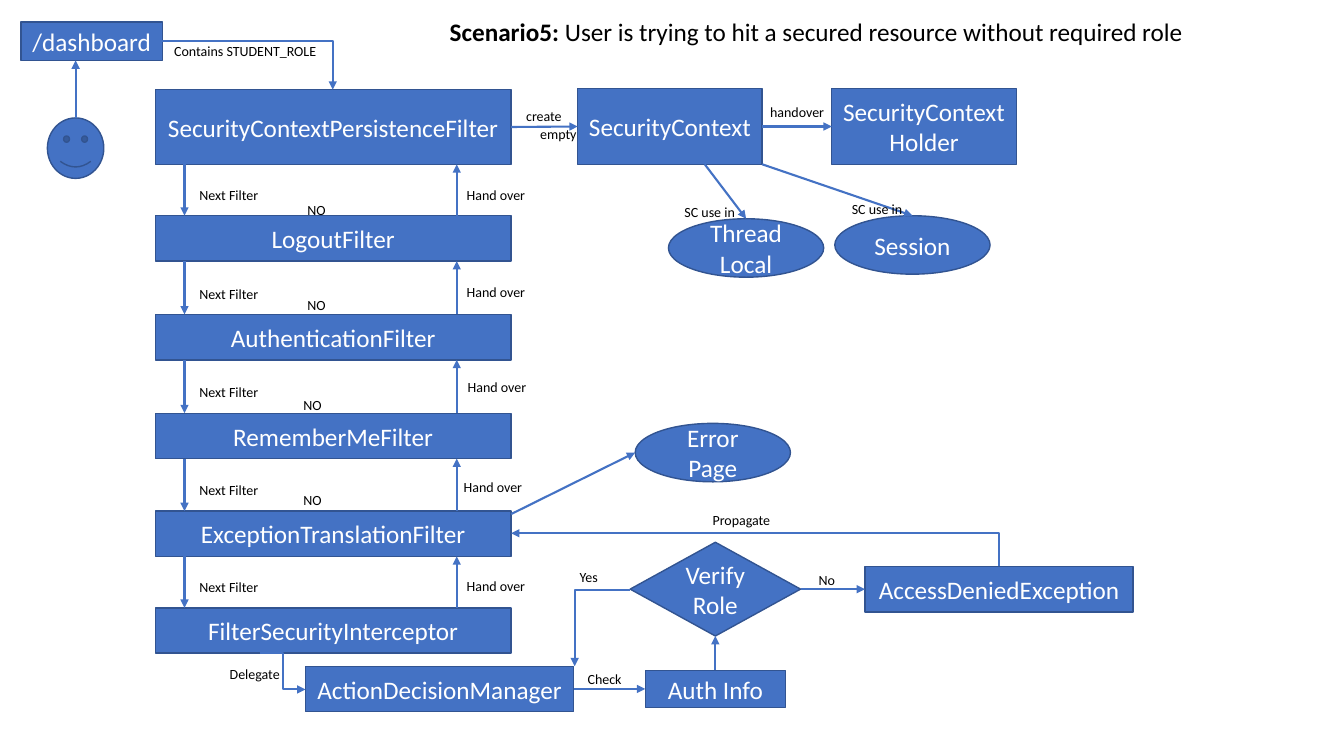
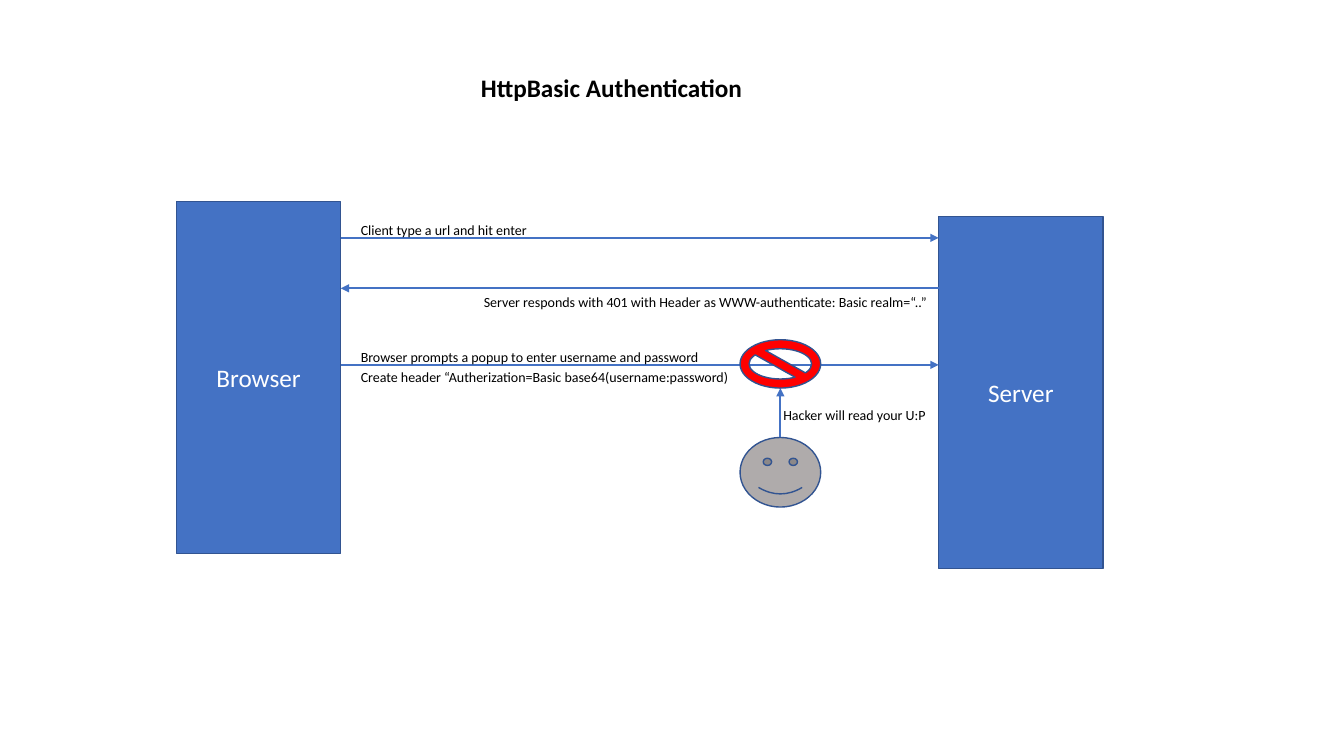
from pptx import Presentation
from pptx.dml.color import RGBColor
from pptx.enum import shapes, text
from pptx.oxml.ns import qn
from pptx.util import Inches, Pt
from lxml import etree

BLUE = RGBColor(0x44, 0x72, 0xC4)
EDGE = RGBColor(0x32, 0x54, 0x91)
RED = RGBColor(0xFF, 0x00, 0x00)
GREY = RGBColor(0xAF, 0xAB, 0xAB)
BLACK = RGBColor(0x00, 0x00, 0x00)
WHITE = RGBColor(0xFF, 0xFF, 0xFF)
FONT = "Calibri"
TITLE_ONLY = 5

MSO = shapes.MSO_SHAPE
STRAIGHT = shapes.MSO_CONNECTOR.STRAIGHT
ELBOW = shapes.MSO_CONNECTOR.ELBOW
TOP, LEFT, BOTTOM, RIGHT = range(4)


class Deck:
    """Shared style and the slide being drawn."""

    def __init__(self):
        self.prs = Presentation()
        self.prs.slide_width = Inches(13.33)
        self.prs.slide_height = Inches(7.5)
        self.s = None

    def font(self, p, size, color):
        for r in p.runs:
            r.font.name, r.font.size = FONT, Pt(size)
            r.font.color.rgb = color

    def slide(self, x, y, w, bold, plain=""):
        """New slide with a title that starts in bold."""
        self.s = self.prs.slides.add_slide(self.prs.slide_layouts[TITLE_ONLY])
        sp = self.s.shapes.title
        sp.left, sp.top, sp.width, sp.height = map(Inches, (x, y, w, 0.4))
        tf = sp.text_frame
        tf.word_wrap = False
        tf.auto_size = text.MSO_AUTO_SIZE.SHAPE_TO_FIT_TEXT
        tf.vertical_anchor = text.MSO_ANCHOR.TOP
        p = tf.paragraphs[0]
        p.text = bold
        p.alignment = text.PP_ALIGN.LEFT
        p.runs[0].font.bold = True
        if plain:
            r = p.add_run()
            r.text = plain
            r.font.bold = False
        self.font(p, 18, BLACK)

    def shape(self, x, y, w, h, label="", kind=MSO.RECTANGLE, fill=BLUE):
        sp = self.s.shapes.add_shape(kind, *map(Inches, (x, y, w, h)))
        sp.shadow.inherit = False
        sp.fill.solid()
        sp.fill.fore_color.rgb = fill
        sp.line.color.rgb = EDGE
        sp.line.width = Pt(1)
        if label:
            sp.text_frame.text = label
            p = sp.text_frame.paragraphs[0]
            p.alignment = text.PP_ALIGN.CENTER
            self.font(p, 18, WHITE)
        return sp

    def ellipse(self, x, y, label):
        return self.shape(x, y, 1.54, 0.58, label, MSO.OVAL)

    def label(self, x, y, w, words, wrap=False):
        sp = self.s.shapes.add_textbox(*map(Inches, (x, y, w, 0.27)))
        tf = sp.text_frame
        tf.word_wrap = wrap
        tf.auto_size = text.MSO_AUTO_SIZE.SHAPE_TO_FIT_TEXT
        tf.text = words
        self.font(tf.paragraphs[0], 10, BLACK)

    def arrow(self, start, end, kind=STRAIGHT, preset=None, head="tailEnd"):
        """Each end is a point (x, y) or a joined side (shape, side)."""
        joins = [e if hasattr(e[0], "shape_id") else None for e in (start, end)]
        points = [(0, 0) if j else e for j, e in zip(joins, (start, end))]
        c = self.s.shapes.add_connector(
            kind, *(Inches(v) for point in points for v in point))
        if joins[0]:
            c.begin_connect(*joins[0])
        if joins[1]:
            c.end_connect(*joins[1])
        c.line.color.rgb = BLUE
        c.line.width = Pt(1.5)
        sppr = c._element.spPr
        if preset:
            sppr.find(qn("a:prstGeom")).set("prst", preset)
        etree.SubElement(sppr.find(qn("a:ln")), qn("a:" + head), type="triangle")
        etree.SubElement(sppr, qn("a:effectLst"))

    def corner(self, start, end, head="tailEnd"):
        """One bend: horizontal first, then vertical."""
        self.arrow(start, end, ELBOW, "bentConnector2", head)


def filter_chain(d):
    # name, top, "Hand over" position, "NO" position
    rows = [
        ("LogoutFilter", 2.14, (4.53, 1.8), (2.95, 1.95)),
        ("AuthenticationFilter", 3.12, (4.53, 2.76), (2.95, 2.89)),
        ("RememberMeFilter", 4.1, (4.54, 3.71), (2.91, 3.88)),
        ("ExceptionTranslationFilter", 5.07, (4.5, 4.7), (2.91, 4.83)),
        ("FilterSecurityInterceptor", 6.03, (4.53, 5.68), None),
    ]
    first = d.shape(1.54, 0.89, 3.53, 0.74, "SecurityContextPersistenceFilter")
    above = 1.63
    for name, top, hand, no in rows:
        d.shape(1.54, top, 3.53, 0.45, name)
        d.arrow((1.83, above), (1.83, top))
        d.arrow((4.53, top), (4.53, above))
        d.label(1.88, top - 0.34, 0.8, "Next Filter")
        d.label(*hand, 0.79, "Hand over")
        if no:
            d.label(*no, 0.39, "NO")
        above = top + 0.45
    return first


def scenario_slide(d):
    d.slide(4.36, 0.11, 7.56, "Scenario5:",
            " User is trying to hit a secured resource without required role")
    persistence = filter_chain(d)

    # Security context and where it is kept
    context = d.shape(5.73, 0.88, 1.83, 0.75, "SecurityContext")
    holder = d.shape(8.25, 0.88, 1.83, 0.75, "SecurityContextHolder")
    thread = d.ellipse(6.63, 2.17, "Thread Local")
    session = d.ellipse(8.28, 2.14, "Session")
    d.arrow((persistence, RIGHT), (context, LEFT))
    d.arrow((context, RIGHT), (holder, LEFT))
    d.arrow((6.99, 1.63), (thread, TOP))
    d.arrow((7.56, 1.63), (session, TOP))
    d.label(5.12, 1.02, 0.56, "create")
    d.label(5.26, 1.2, 0.57, "empty")
    d.label(7.54, 0.98, 0.75, "handover")
    d.label(6.69, 1.97, 0.71, "SC use in")
    d.label(8.35, 1.94, 0.71, "SC use in")

    # User request
    d.shape(0.21, 0.22, 1.4, 0.38, "/dashboard")
    user = d.shape(0.47, 1.17, 0.56, 0.6, kind=MSO.SMILEY_FACE)
    d.arrow((user, TOP), (0.75, 0.6))
    d.corner((1.61, 0.41), (3.3, 0.89))
    d.label(1.63, 0.37, 1.63, "Contains STUDENT_ROLE")

    # Role check
    manager = d.shape(3.03, 6.61, 2.66, 0.45, "ActionDecisionManager")
    info = d.shape(6.4, 6.65, 1.39, 0.37, "Auth Info")
    verify = d.shape(6.25, 5.38, 1.69, 0.93, "Verify Role", MSO.DIAMOND)
    denied = d.shape(8.58, 5.62, 2.66, 0.45, "AccessDeniedException")
    d.arrow((2.58, 6.48), (3.03, 6.84), ELBOW)
    d.arrow((manager, RIGHT), (info, LEFT))
    d.arrow((info, TOP), (verify, BOTTOM))
    d.arrow((verify, RIGHT), (denied, LEFT))
    d.corner((6.25, 5.85), (5.7, 6.61))
    d.corner((5.07, 5.29), (9.91, 5.62), head="headEnd")
    d.label(2.18, 6.55, 0.71, "Delegate")
    d.label(5.73, 6.6, 0.54, "Check")
    d.label(5.65, 5.59, 0.39, "Yes", wrap=True)
    d.label(8.02, 5.62, 0.39, "No", wrap=True)
    d.label(6.97, 5.03, 0.8, "Propagate", wrap=True)

    # Error result
    d.ellipse(6.3, 4.2, "Error Page")
    d.arrow((5.07, 5.1), (6.3, 4.49))


def basic_auth_slide(d):
    d.slide(4.67, 0.67, 2.82, "HttpBasic Authentication")

    # Two parties and the messages between them
    d.shape(1.75, 2, 1.63, 3.49, "Browser")
    d.shape(9.31, 2.15, 1.63, 3.49, "Server")
    for y, head in ((2.36, "tailEnd"), (2.86, "headEnd"), (3.62, "tailEnd")):
        d.arrow((3.38, y), (9.31, y), head=head)
    for x, y, w, words in (
        (3.48, 2.15, 1.88, "Client type a url and hit enter"),
        (4.7, 2.86, 4.65, "Server responds with 401 with Header as "
                          "WWW-authenticate: Basic realm=“..”"),
        (3.48, 3.41, 3.66, "Browser prompts a popup to enter username and password"),
        (3.48, 3.61, 3.96, "Create header “Autherization=Basic "
                           "base64(username:password)"),
        (7.67, 3.98, 1.88, "Hacker will read your U:P"),
    ):
        d.label(x, y, w, words, wrap=True)

    # Hacker
    d.shape(7.34, 3.37, 0.8, 0.48, kind=MSO.NO_SYMBOL, fill=RED)
    hacker = d.shape(7.34, 4.34, 0.8, 0.69, kind=MSO.SMILEY_FACE, fill=GREY)
    d.arrow((hacker, TOP), (7.74, 3.85))


def main():
    d = Deck()
    scenario_slide(d)
    basic_auth_slide(d)
    d.prs.save("out.pptx")


if __name__ == "__main__":
    main()
